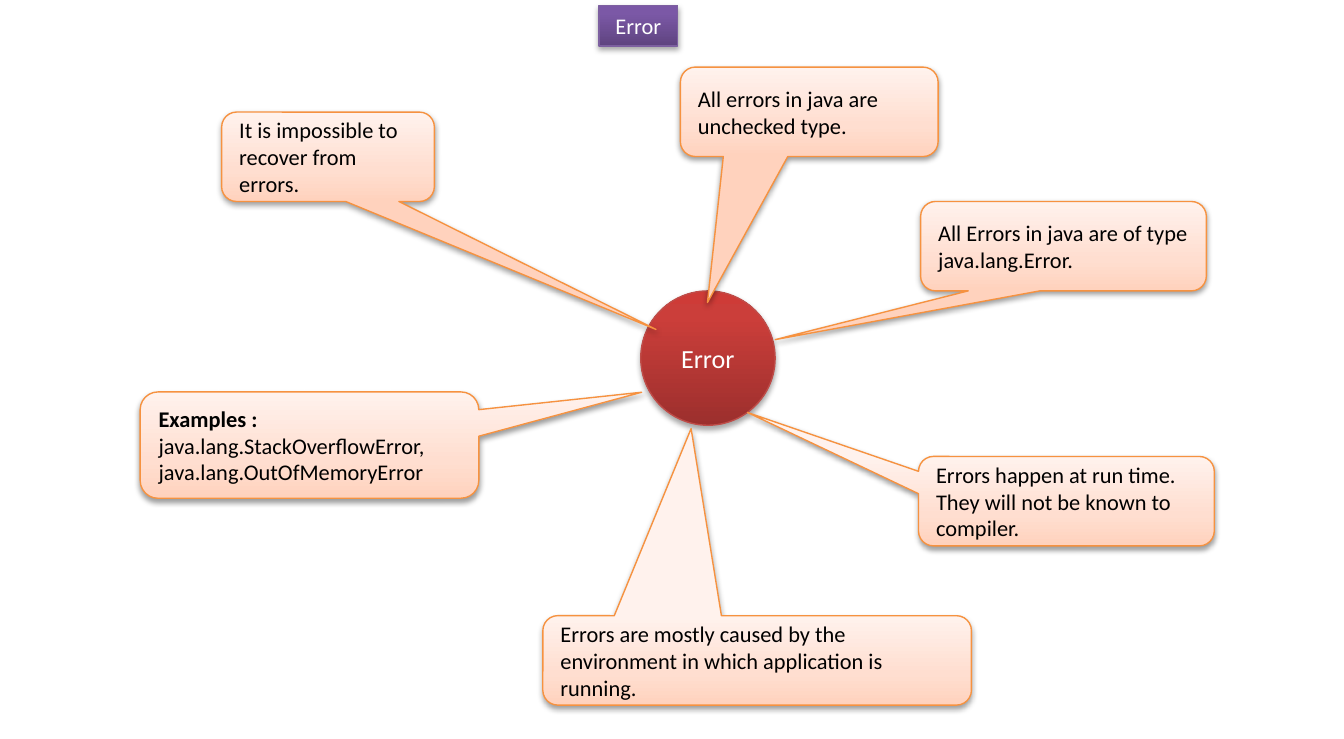
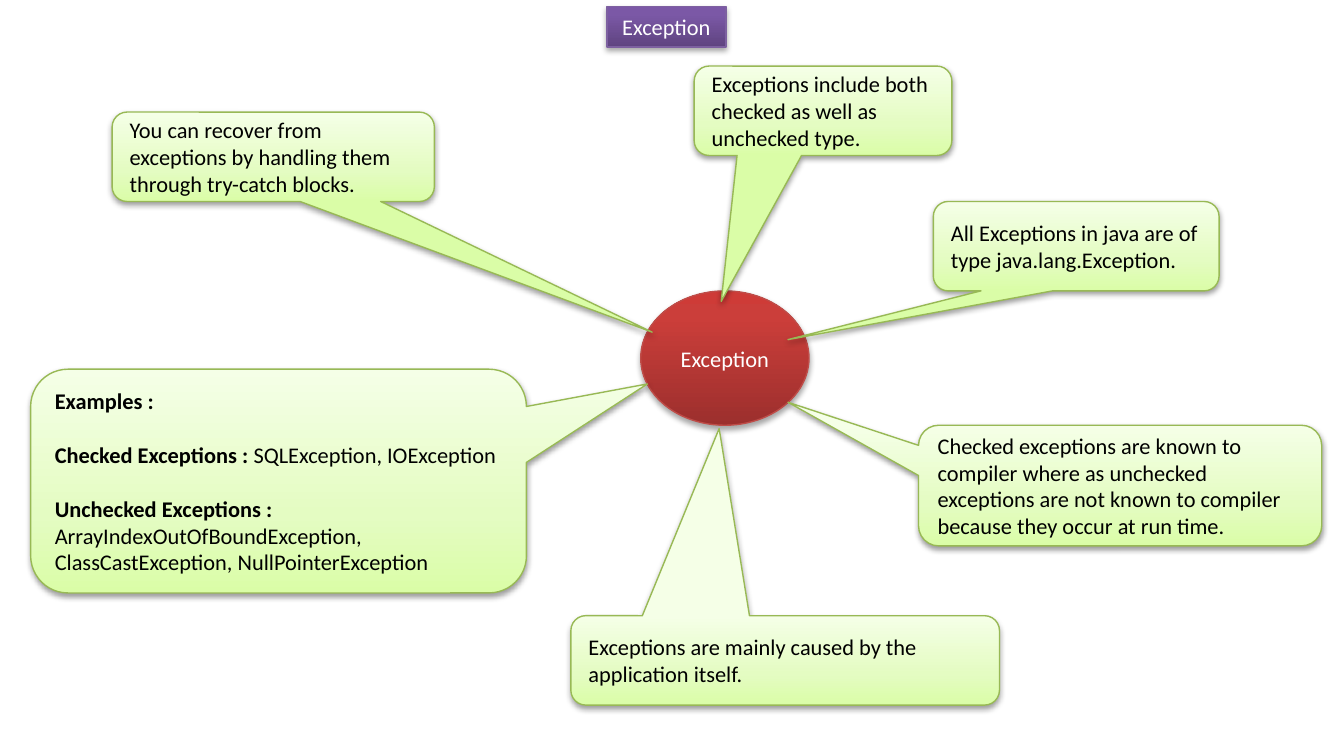
from pptx import Presentation
from pptx.dml.color import RGBColor
from pptx.enum.shapes import MSO_SHAPE
from pptx.enum.text import MSO_ANCHOR, MSO_AUTO_SIZE, PP_ALIGN
from pptx.oxml.ns import qn
from pptx.util import Cm, Pt
from lxml.etree import SubElement

# Theme: gradient stops run from bottom to top; shadow is (opacity %, distance in points)
THEME = {
    "font": "Calibri",
    "size": 12,
    "hub_size": {"Error": 14, "Exception": 12},
    "gap": 14.6,
    "line": 0.75,
    "blur": 3.1,
    "red": {"stops": [(0, "9C2F2D"), (80, "CB3E3A"), (100, "CE3B37")],
            "line": "BF4C48", "text": "FFFFFF", "shadow": (35, 1.8)},
    "purple": {"stops": [(0, "5F4480"), (80, "7B58A6"), (100, "7C57A8")],
               "line": "7D60A0", "text": "FFFFFF", "shadow": (35, 1.8)},
    "orange": {"stops": [(0, "FFD2BD"), (35, "FFDED0"), (100, "FFF2ED")],
               "line": "F69240", "text": "000000", "shadow": (38, 1.6)},
    "green": {"stops": [(0, "DAFDA7"), (35, "E4FCC2"), (100, "F5FFE7")],
              "line": "98B955", "text": "000000", "shadow": (38, 1.6)},
}

# Each slide: topic, callout style, title box, hub box,
# and callouts as (box in cm, pointer tip relative to the box, paragraphs).
# A paragraph is a list of runs; a run that starts with * is bold.
SLIDES = [
    ("Error", "orange", (11.32, 0.1, 1.49, 0.77), (12.11, 5.5, 2.54, 2.54), [
        ((4.19, 2.12, 4.02, 1.69), (1.542, 1.931),
         [["It is impossible to recover from errors."]]),
        ((12.86, 1.27, 4.87, 1.69), (-0.395, 2.133),
         [["All errors in java are unchecked type."]]),
        ((17.4, 3.81, 5.4, 1.69), (-1.009, 1.045),
         [["All Errors in java are of type java.lang.Error."]]),
        ((17.36, 8.63, 5.59, 1.69), (-1.078, -0.992),
         [["Errors happen at run time. They will not be known to compiler."]]),
        ((10.26, 11.64, 8.1, 1.69), (-0.154, -2.593),
         [["Errors are mostly caused by the environment in which application is running."]]),
        ((2.65, 7.41, 6.4, 2.01), (0.981, -0.497),
         [["*Examples :", "\n", "java.lang.StackOverflowError, java.lang.OutOfMemoryError"]]),
    ]),
    ("Exception", "green", (11.47, 0.12, 2.25, 0.77), (12.11, 5.5, 3.18, 2.54), [
        ((2.12, 2.12, 6.09, 1.69), (1.176, 1.962),
         [["You can recover from exceptions by handling them through try-catch blocks."]]),
        ((13.12, 1.25, 4.87, 1.69), (-0.395, 2.133),
         [["Exceptions include both checked as well as unchecked type."]]),
        ((17.64, 3.81, 5.4, 1.69), (-1.009, 1.045),
         [["All Exceptions in java are of type java.lang.Exception."]]),
        ((17.36, 8.04, 7.62, 2.28), (-0.824, -0.691),
         [["Checked exceptions are known to compiler where as unchecked exceptions "
           "are not known to compiler because they occur at run time."]]),
        ((10.79, 11.64, 8.1, 1.69), (-0.154, -2.593),
         [["Exceptions are mainly caused by the application itself."]]),
        ((0.58, 6.98, 9.37, 4.23), (0.744, -0.434),
         [["*Examples :"],
          ["*Checked Exceptions : ", "SQLException, IOException"],
          ["*Unchecked Exceptions : ",
           "ArrayIndexOutOfBoundException, ClassCastException, NullPointerException"]]),
    ]),
]


def add_box(slide, kind, box, style):
    """Add a shape with the gradient, outline and soft shadow of a theme style."""
    look = THEME[style]
    sp = slide.shapes.add_shape(kind, *[Cm(v) for v in box])
    sp.fill.gradient()
    sp.fill.gradient_angle = 90
    stops = sp._element.spPr.find(".//" + qn("a:gsLst"))
    for old in list(stops):
        stops.remove(old)
    for pos, color in look["stops"]:
        stop = SubElement(stops, qn("a:gs"), pos=str(pos * 1000))
        SubElement(stop, qn("a:srgbClr"), val=color)
    sp.line.color.rgb = RGBColor.from_string(look["line"])
    sp.line.width = Pt(THEME["line"])

    sp.shadow.inherit = False
    opacity, dist = look["shadow"]
    shadow = SubElement(sp._element.spPr.find(qn("a:effectLst")), qn("a:outerShdw"),
                        blurRad=str(Pt(THEME["blur"])), dist=str(Pt(dist)),
                        dir="5400000", rotWithShape="0")
    color = SubElement(shadow, qn("a:srgbClr"), val="000000")
    SubElement(color, qn("a:alpha"), val=str(opacity * 1000))
    return sp


def write(sp, paragraphs, style, align, size=THEME["size"], **frame):
    """Fill a shape with paragraphs of runs; frame holds text frame settings."""
    tf = sp.text_frame
    for name, value in ({"word_wrap": True, "vertical_anchor": MSO_ANCHOR.MIDDLE} | frame).items():
        setattr(tf, name, value)
    for i, runs in enumerate(paragraphs):
        p = tf.add_paragraph() if i else tf.paragraphs[0]
        p.alignment = align
        if i:
            p.space_before = Pt(THEME["gap"])
        for text in runs:
            if text == "\n":
                p.add_line_break()
                continue
            r = p.add_run()
            r.text = text.removeprefix("*")
            font = {"name": THEME["font"], "size": Pt(size), "bold": text.startswith("*")}
            for name, value in font.items():
                setattr(r.font, name, value)
            r.font.color.rgb = RGBColor.from_string(THEME[style]["text"])


prs = Presentation()
prs.slide_width, prs.slide_height = Cm(25.4), Cm(13.97)

for topic, style, title_box, hub_box, callouts in SLIDES:
    slide = prs.slides.add_slide(prs.slide_layouts[6])

    # Hub in the middle
    sp = add_box(slide, MSO_SHAPE.OVAL, hub_box, "red")
    write(sp, [[topic]], "red", PP_ALIGN.CENTER, THEME["hub_size"][topic])

    # Callouts that point at the hub
    for box, tip, paragraphs in callouts:
        sp = add_box(slide, MSO_SHAPE.ROUNDED_RECTANGULAR_CALLOUT, box, style)
        for i, value in enumerate(tip):
            sp.adjustments[i] = value
        write(sp, paragraphs, style, PP_ALIGN.LEFT)

    # Title
    sp = add_box(slide, MSO_SHAPE.RECTANGLE, title_box, "purple")
    write(sp, [[topic]], "purple", PP_ALIGN.CENTER, word_wrap=False,
          vertical_anchor=MSO_ANCHOR.TOP, auto_size=MSO_AUTO_SIZE.SHAPE_TO_FIT_TEXT)

prs.save("out.pptx")
